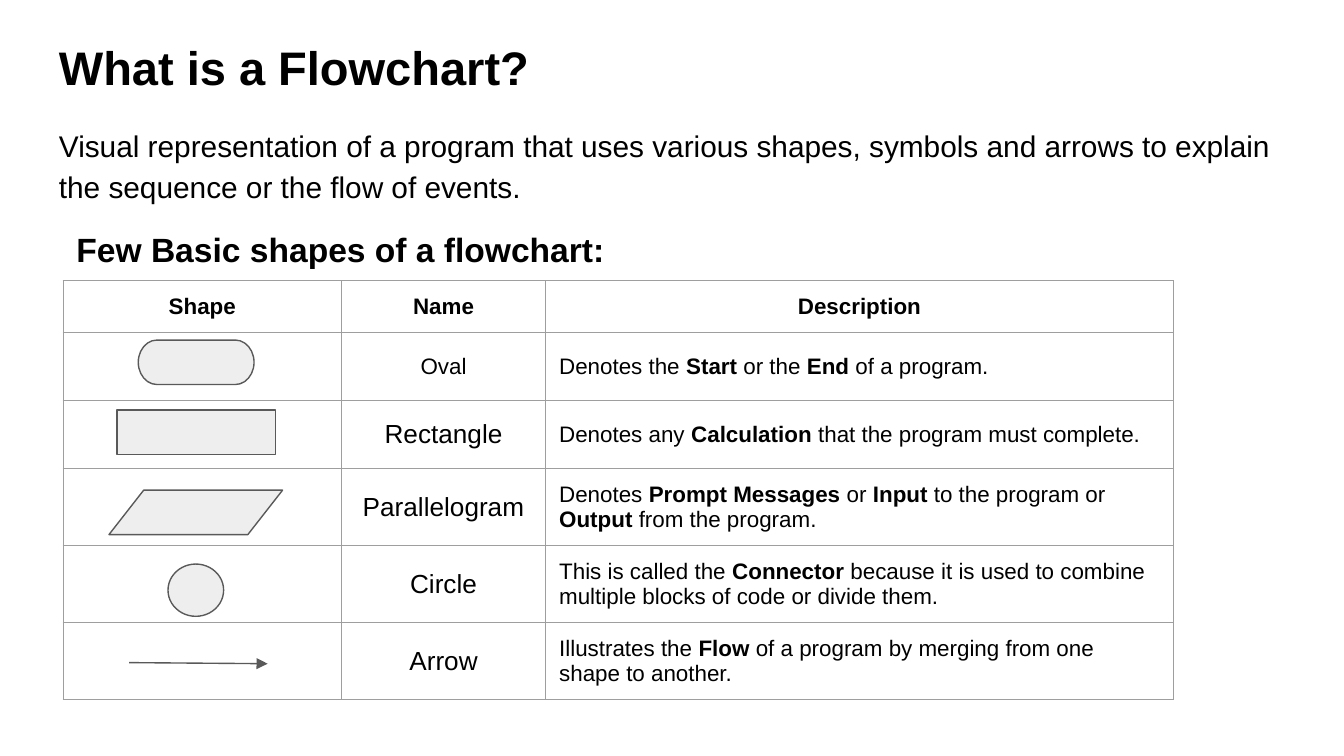
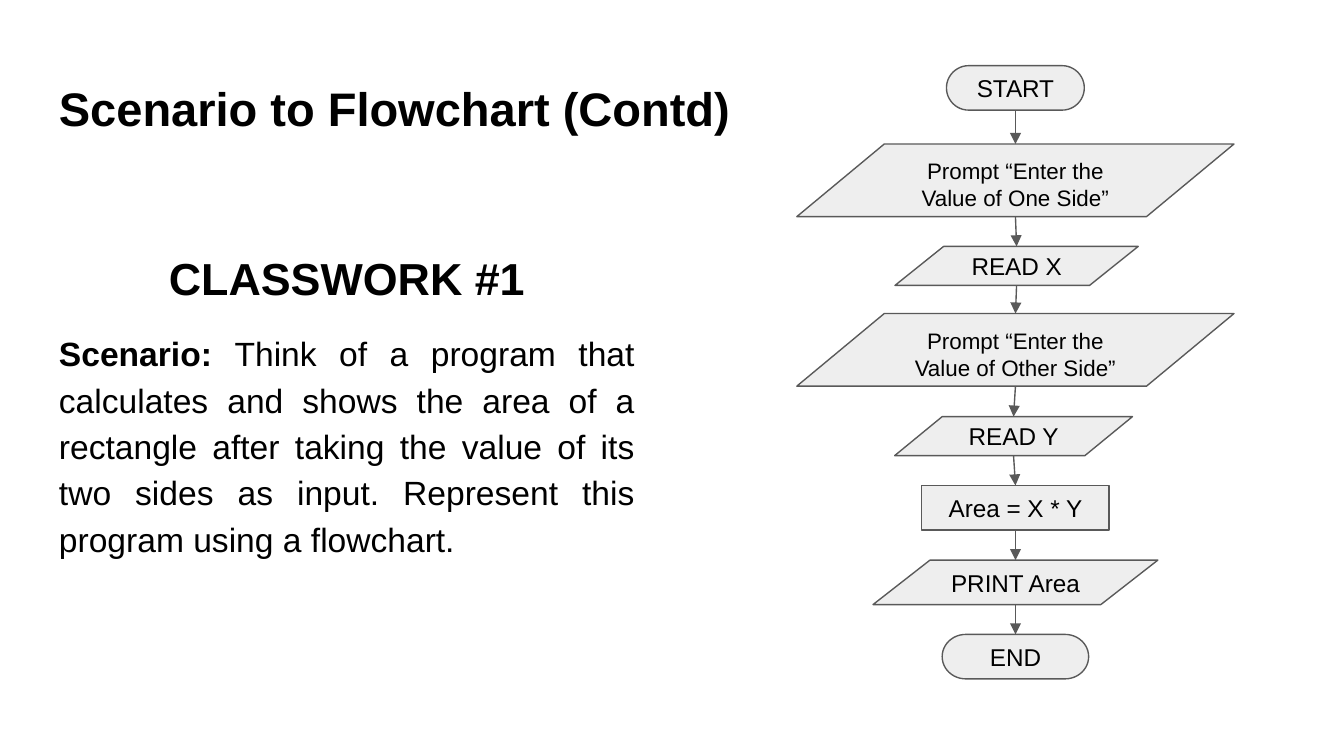
"""Build two slides that explain flowcharts."""
from pptx import Presentation
from pptx.dml.color import RGBColor
from pptx.enum import shapes, text
from pptx.oxml import parse_xml
from pptx.oxml.ns import nsdecls
from pptx.util import Pt

BLACK = RGBColor(0x00, 0x00, 0x00)
WHITE = RGBColor(0xFF, 0xFF, 0xFF)
PALE = RGBColor(0xEE, 0xEE, 0xEE)
DARK = RGBColor(0x59, 0x59, 0x59)
GREY = RGBColor(0x9E, 0x9E, 0x9E)
FONT = "Arial"
INSET = Pt(7.2)
THIN = Pt(0.75)
LEFT, MID, FULL = text.PP_ALIGN.LEFT, text.PP_ALIGN.CENTER, text.PP_ALIGN.JUSTIFY
TOP, CENTRE = text.MSO_ANCHOR.TOP, text.MSO_ANCHOR.MIDDLE
KIND = shapes.MSO_SHAPE
OVAL, BOX = KIND.FLOWCHART_TERMINATOR, KIND.FLOWCHART_PROCESS
SLANT, ROUND = KIND.FLOWCHART_DATA, KIND.FLOWCHART_CONNECTOR


def write(frame, words, size=12, align=LEFT, lead=None, before=0, after=0, more=False):
    """Write one paragraph, with bold between double stars."""
    para = frame.add_paragraph() if more else frame.paragraphs[0]
    para.alignment = align
    para.space_before, para.space_after = Pt(before), Pt(after)
    if lead:
        para.line_spacing = lead
    for num, part in enumerate(words.split("**")):
        if part:
            run = para.add_run()
            run.text = part
            run.font.name, run.font.size = FONT, Pt(size)
            run.font.bold = num % 2 == 1
            run.font.color.rgb = BLACK


def fit(frame, anchor):
    """Set the wrap, insets and anchor of a text frame."""
    frame.word_wrap = True
    frame.vertical_anchor = anchor
    frame.margin_left = frame.margin_right = INSET
    frame.margin_top = frame.margin_bottom = INSET


deck = Presentation()
deck.slide_width, deck.slide_height = Pt(720), Pt(405)
basics, task = [deck.slides.add_slide(deck.slide_layouts[6]) for _ in range(2)]
for slide in (basics, task):
    slide.background.fill.solid()
    slide.background.fill.fore_color.rgb = WHITE

rows = [
    ("**Shape**", "**Name**", "**Description**"),
    ("", "Oval", "Denotes the **Start** or the **End** of a program."),
    ("", "Rectangle", "Denotes any **Calculation** that the program must complete."),
    ("", "Parallelogram", "Denotes **Prompt Messages** or **Input** to the program or "
     "**Output** from the program."),
    ("", "Circle", "This is called the **Connector** because it is used to combine "
     "multiple blocks of code or divide them."),
    ("", "Arrow", "Illustrates the **Flow** of a program by merging from one "
     "shape to another."),
]
wides = [149, 109.5, 336.2]
highs = [18.7, 31.7] + [35.3] * 4
table = basics.shapes.add_table(
    len(rows), len(wides), Pt(33.9), Pt(150.3), Pt(sum(wides)), Pt(sum(highs))).table
table.first_row = table.horz_banding = False
for col, wide in zip(table.columns, wides):
    col.width = Pt(wide)
for row, high in zip(table.rows, highs):
    row.height = Pt(high)
for r, row in enumerate(rows):
    for c, words in enumerate(row):
        cell = table.cell(r, c)
        cell.vertical_anchor = CENTRE
        cell.margin_left = cell.margin_right = INSET
        cell.margin_top = cell.margin_bottom = INSET
        for side in "LRTB":
            cell._tc.get_or_add_tcPr().append(parse_xml(
                f'<a:ln{side} {nsdecls("a")} w="{THIN}"><a:solidFill>'
                f'<a:srgbClr val="{GREY}"/></a:solidFill></a:ln{side}>'))
        cell.fill.background()
        if words:
            write(cell.text_frame, words, size=14 if c == 1 and r > 1 else 12,
                  align=MID if c == 1 or r == 0 else LEFT)

nodes = [
    (basics, OVAL, 105.1, 182.2, 62, 23.8, "", 0),
    (basics, BOX, 105.1, 219.6, 85, 23.8, "", 0),
    (basics, SLANT, 104.9, 262.6, 93, 23.8, "", 0),
    (basics, ROUND, 104.9, 302.2, 29.8, 28, "", 0),
]
flow = [
    (OVAL, 544, 35.2, 73.8, 23.8, "START", 13),
    (SLANT, 544, 77.2, 234.2, 38.9, "Prompt “Enter the Value of One Side”", 12),
    (SLANT, 544.6, 132, 130.3, 20.9, "READ X", 13),
    (SLANT, 544, 168, 234.2, 38.9, "Prompt “Enter the Value of Other Side”", 12),
    (SLANT, 543, 223.2, 127.4, 20.9, "READ Y", 13),
    (BOX, 544, 260.1, 100.4, 23.8, "Area = X * Y", 13),
    (SLANT, 544, 300.1, 152.6, 23.8, "PRINT Area", 13),
    (OVAL, 544, 339.9, 78.5, 23.8, "END", 13),
]
nodes += [(task, *step) for step in flow]
for slide, kind, mid, top, wide, high, words, size in nodes:
    node = slide.shapes.add_shape(kind, Pt(mid - wide / 2), Pt(top), Pt(wide), Pt(high))
    node.shadow.inherit = False
    node.fill.solid()
    node.fill.fore_color.rgb = PALE
    node.line.color.rgb, node.line.width = DARK, THIN
    if words:
        fit(node.text_frame, TOP if size == 12 else CENTRE)
        write(node.text_frame, words, size=size, align=MID)

arrows = [(basics, 69.2, 355, 143.4, 355.6)]
for a, b in zip(flow, flow[1:]):
    arrows.append((task, a[1], a[2] + a[4], b[1], b[2]))
for slide, *ends in arrows:
    arrow = slide.shapes.add_connector(
        shapes.MSO_CONNECTOR.STRAIGHT, *[Pt(end) for end in ends])
    arrow.line.color.rgb, arrow.line.width = DARK, THIN
    arrow.line._get_or_add_ln().append(
        parse_xml(f'<a:tailEnd {nsdecls("a")} type="triangle" w="med" len="med"/>'))
    arrow._element.spPr.append(parse_xml(f'<a:effectLst {nsdecls("a")}/>'))

intro = ("Visual representation of a program that uses various shapes, symbols and "
         "arrows to explain the sequence or the flow of events.")
story = ("**Scenario: **Think of a program that calculates and shows the area of a "
         "rectangle after taking the value of its two sides as input. Represent this "
         "program using a flowchart.")
head = dict(size=25.2)
boxes = [
    (basics, 24.5, 13.7, 671, 45.4, TOP, [("**What is a Flowchart?**", head)]),
    (basics, 24.5, 58.3, 671, 52.6, TOP, [(intro, dict(size=16, lead=1.15))]),
    (basics, 33.9, 112.3, 607.7, 36, TOP,
     [("**Few Basic shapes of a flowchart:**", dict(size=18, lead=1.15, after=12))]),
    (task, 24.5, 35.3, 386.6, 45.4, TOP, [("**Scenario to Flowchart (Contd)**", head)]),
    (task, 24.5, 80.6, 322.6, 268.6, CENTRE,
     [("**CLASSWORK #1**", dict(size=24, align=MID, lead=1.15)),
      (story, dict(size=18, align=FULL, lead=1.15, before=12, after=12))]),
]
for slide, left, top, wide, high, anchor, lines in boxes:
    frame = slide.shapes.add_textbox(Pt(left), Pt(top), Pt(wide), Pt(high)).text_frame
    fit(frame, anchor)
    for num, (words, style) in enumerate(lines):
        write(frame, words, more=num > 0, **style)

deck.save("out.pptx")
